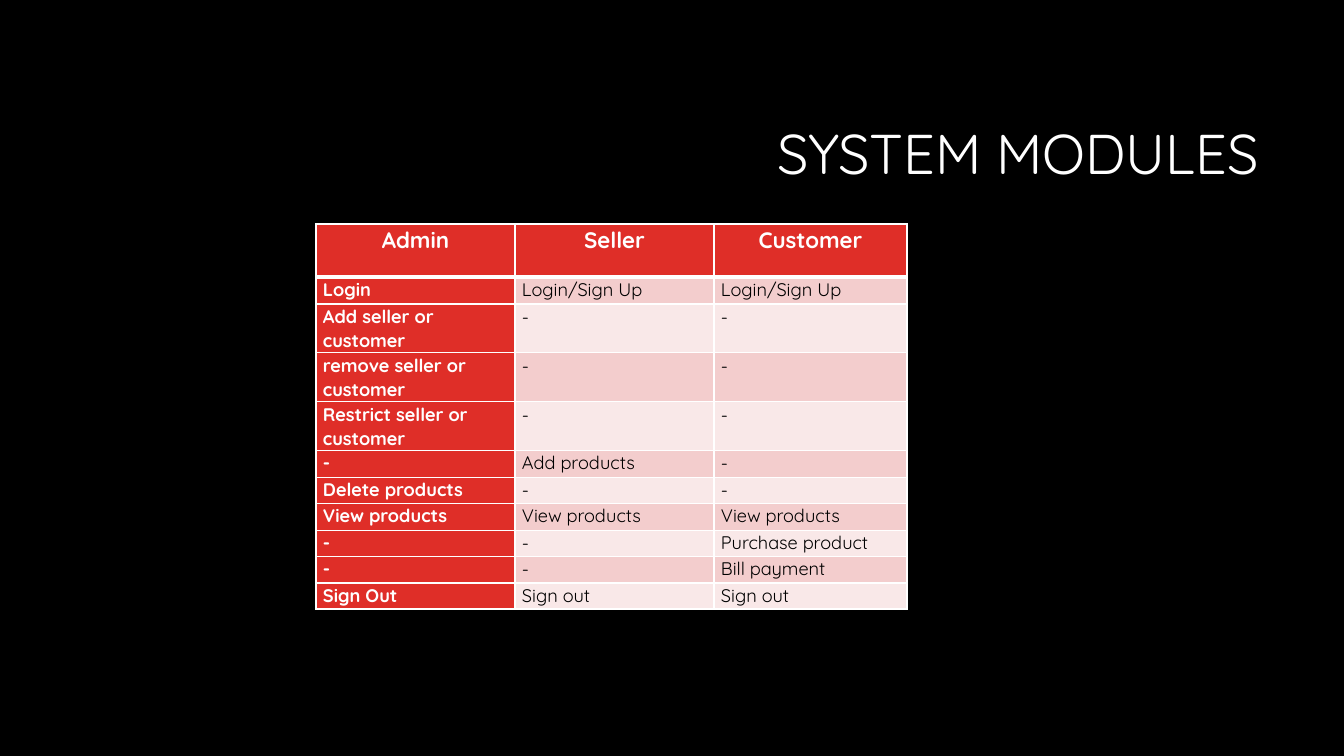
"""Build the "System modules" slide: a title above a table of role features."""
import dataclasses

import lxml.etree
import pptx
import pptx.dml.color
import pptx.enum.text
import pptx.oxml.ns
import pptx.util

PIXEL = 914400 / 100.8
ALIGN = pptx.enum.text.PP_ALIGN
ANCHOR = pptx.enum.text.MSO_ANCHOR


@dataclasses.dataclass(frozen=True)
class Theme:
    """Colours, font and type sizes of the slide."""
    background: str = "000000"
    light: str = "FFFFFF"
    dark: str = "000000"
    accent: str = "DF2E28"
    bands: tuple = ("F3CDCD", "F9E8E8")
    font: str = "Quicksand"
    title_size: int = 40
    header_size: int = 16
    body_size: int = 13


THEME = Theme()

MODULES = [
    ("Admin", "Seller", "Customer"),
    ("Login", "Login/Sign Up", "Login/Sign Up"),
    ("Add seller or customer", "-", "-"),
    ("remove seller or customer", "-", "-"),
    ("Restrict seller or customer", "-", "-"),
    ("-", "Add products", "-"),
    ("Delete products", "-", "-"),
    ("View products", "View products", "View products"),
    ("-", "-", "Purchase product"),
    ("-", "-", "Bill payment"),
    ("Sign Out", "Sign out", "Sign out"),
]
COLUMN_WIDTHS = (199, 199, 193)
ROW_HEIGHTS = (53, 27, 48, 49, 48, 27, 26, 27, 26, 27, 26)


def px(length):
    """Turn pixels into EMU."""
    return pptx.util.Emu(round(length * PIXEL))


def rgb(colour):
    """Turn a hex string into a colour."""
    return pptx.dml.color.RGBColor.from_string(colour)


def style_paragraph(para, size, colour, bold, align, spacing):
    """Set the font, alignment and line spacing of a paragraph."""
    font = para.font
    font.name, font.size, font.bold = THEME.font, pptx.util.Pt(size), bold
    font.color.rgb = rgb(colour)
    para.alignment, para.line_spacing = align, spacing


def add_border(cell, side, points):
    """Draw one side (L, R, T or B) of a cell's border."""
    properties = cell._tc.get_or_add_tcPr()
    qn = pptx.oxml.ns.qn
    line = lxml.etree.SubElement(properties, qn(f"a:ln{side}"), w=str(pptx.util.Pt(points)))
    fill = lxml.etree.SubElement(line, qn("a:solidFill"))
    lxml.etree.SubElement(fill, qn("a:srgbClr"), val=THEME.light)


def fill_cell(cell, text, row, column):
    """Write and format one cell according to its row and column."""
    is_header = row == 0
    is_accent = is_header or column == 0
    cell.text = text
    cell.margin_left = cell.margin_right = px(7)
    cell.margin_top = cell.margin_bottom = 0
    cell.vertical_anchor = ANCHOR.TOP
    para = cell.text_frame.paragraphs[0]
    style_paragraph(
        para,
        THEME.header_size if is_header else THEME.body_size,
        THEME.light if is_accent else THEME.dark,
        is_accent,
        ALIGN.CENTER if is_header else ALIGN.LEFT,
        1.07,
    )
    para.space_after = pptx.util.Pt(8)
    heavy_side = {0: "B", 1: "T"}.get(row)
    for side in "LRTB":
        add_border(cell, side, 3 if side == heavy_side else 1)
    cell.fill.solid()
    cell.fill.fore_color.rgb = rgb(THEME.accent if is_accent else THEME.bands[(row - 1) % 2])


def place_title(page, text, left, top, width, height):
    """Put the slide title in the given box, right-aligned."""
    box = page.shapes.title
    box.left, box.top, box.width, box.height = map(px, (left, top, width, height))
    frame = box.text_frame
    frame.text = text
    frame.word_wrap = True
    frame.auto_size = pptx.enum.text.MSO_AUTO_SIZE.NONE
    frame.vertical_anchor = ANCHOR.MIDDLE
    style_paragraph(frame.paragraphs[0], THEME.title_size, THEME.light, False, ALIGN.RIGHT, 0.9)


def place_modules(page, left, top):
    """Put the table of modules with its corner at the given point."""
    table = page.shapes.add_table(
        len(MODULES), len(COLUMN_WIDTHS), px(left), px(top),
        px(sum(COLUMN_WIDTHS)), px(sum(ROW_HEIGHTS)),
    ).table
    for column, width in zip(table.columns, COLUMN_WIDTHS):
        column.width = px(width)
    for row, height in zip(table.rows, ROW_HEIGHTS):
        row.height = px(height)
    for row, texts in enumerate(MODULES):
        for column, text in enumerate(texts):
            fill_cell(table.cell(row, column), text, row, column)


def build_modules_slide(deck):
    """Add the slide with its background, title and table."""
    page = deck.slides.add_slide(deck.slide_layouts[5])
    page.background.fill.solid()
    page.background.fill.fore_color.rgb = rgb(THEME.background)
    place_title(page, "SYSTEM MODULES", 320, 85, 949, 142)
    place_modules(page, 316, 224)


deck = pptx.Presentation()
deck.slide_width, deck.slide_height = px(1344), px(756)
build_modules_slide(deck)
deck.save("out.pptx")
